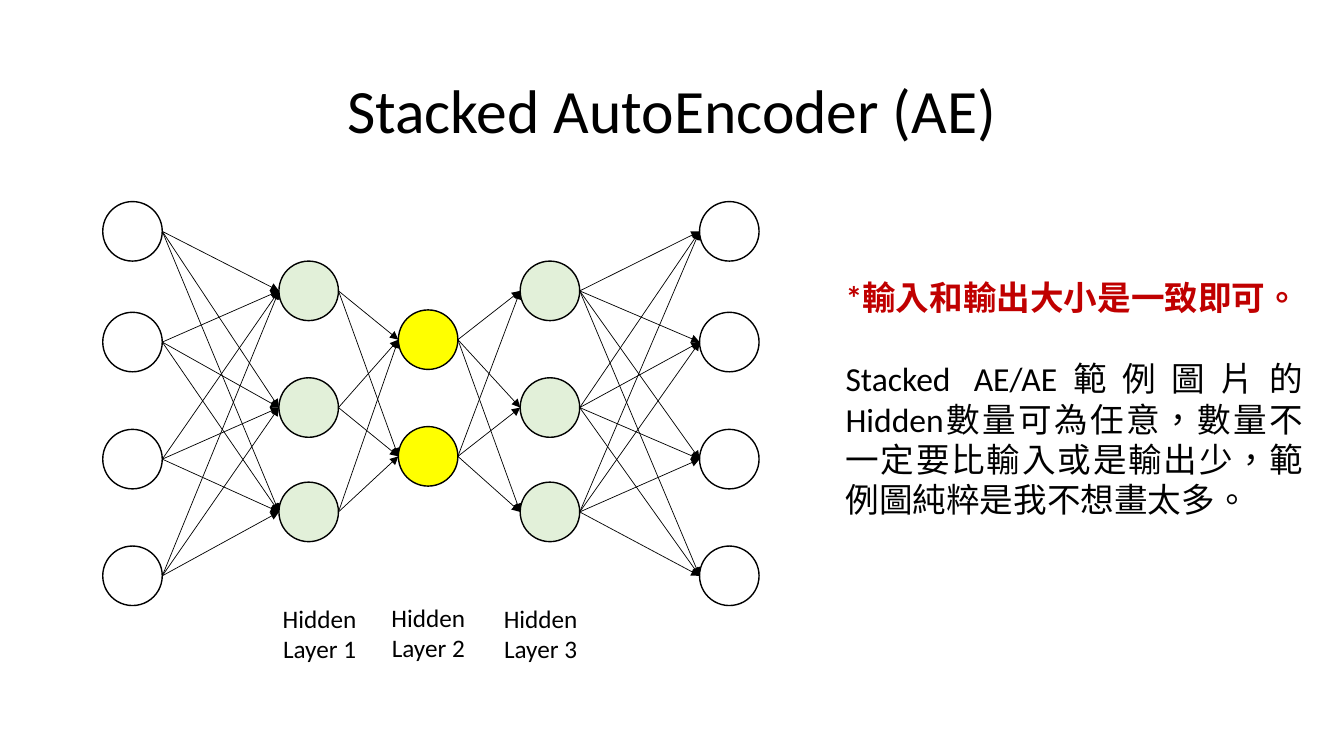
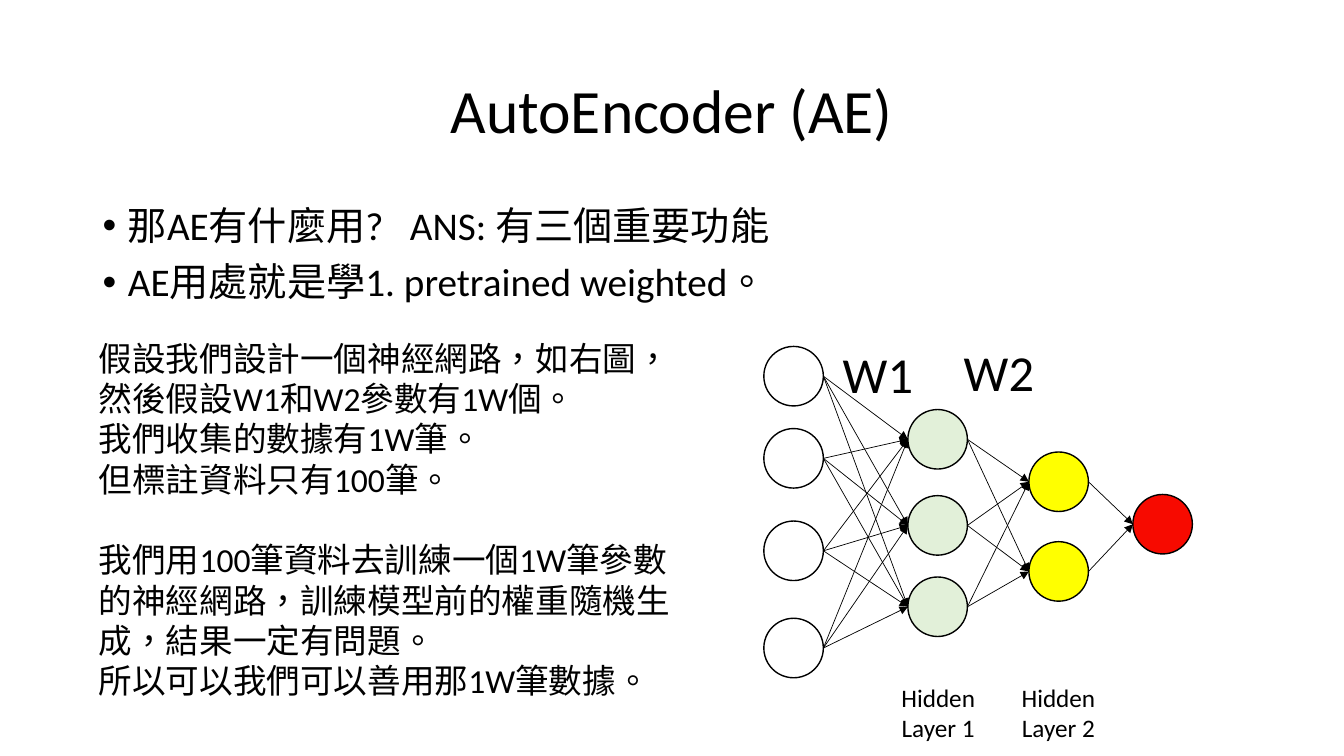
from itertools import product

from lxml import etree
from pptx import Presentation
from pptx.dml.color import RGBColor
from pptx.enum import shapes, text
from pptx.oxml import ns
from pptx.util import Cm, Pt

FONT = "Calibri"
BLACK, WHITE, GREEN, YELLOW = "000000", "FFFFFF", "E2F0D9", "FFFF00"
RED, DARK_RED = "F70A00", "C00000"
NODE = 1.5
LABEL = (3.51, 1.8)
WIDE_SPACE = 1260  # extra width of a tabbed gap, hundredths of a point
PARA_GAP = 29
CENTER, LEFT, JUSTIFY = (text.PP_ALIGN.CENTER, text.PP_ALIGN.LEFT,
                         text.PP_ALIGN.JUSTIFY)

# Placeholder places on the master: left, top, width, height
MASTER = {"title": (2.33, 1.01, 29.21, 3.68),
          "body": (2.33, 5.08, 29.21, 12.09)}

# Layers: left, tops, fill.  Labels: text, left, top, size.
# Notes: text, colour, bold, space before.
SLIDES = [
    {
        "title": "Stacked AutoEncoder (AE)",
        "bullets": [],
        "layers": [
            (2.59, (5.08, 7.87, 10.82, 13.76), WHITE),
            (7.03, (6.58, 9.52, 12.15), GREEN),
            (10.04, (7.81, 10.75), YELLOW),
            (13.11, (6.58, 9.52, 12.15), GREEN),
            (17.63, (5.08, 7.87, 10.82, 13.76), WHITE),
        ],
        "labels": [
            ("Hidden Layer 1", 6.3, 15.07, 18),
            ("Hidden Layer 2", 9.04, 15.05, 18),
            ("Hidden Layer 3", 11.87, 15.07, 18),
        ],
        "notes_at": (21.06, 6.86, 12.04, 6.4),
        "notes_align": JUSTIFY,
        "notes": [
            ("*輸入和輸出大小是一致即可。", DARK_RED, True, 0),
            ("Stacked AE/AE範例圖片的Hidden數量可為任意，數量不一定要比輸入或是輸出少，"
             "範例圖純粹是我不想畫太多。", BLACK, False, PARA_GAP),
        ],
    },
    {
        "title": "AutoEncoder (AE)",
        "bullets": ["那AE有什麼用?\tANS: 有三個重要功能",
                    "AE用處就是學1. pretrained weighted。"],
        "layers": [
            (19.25, (8.73, 10.8, 13.13, 15.58), WHITE),
            (22.88, (10.32, 12.49, 14.54), GREEN),
            (25.93, (11.39, 13.65), YELLOW),
            (28.55, (12.46,), RED),
        ],
        "labels": [
            ("Hidden Layer 1", 21.89, 17.07, 18),
            ("Hidden Layer 2", 24.92, 17.07, 18),
            ("W1", 20.37, 8.51, 36),
            ("W2", 23.42, 8.46, 36),
        ],
        "notes_at": (2.24, 8.38, 15.62, 9.5),
        "notes_align": LEFT,
        "notes": [
            ("假設我們設計一個神經網路，如右圖，然後假設W1和W2參數有1W個。", BLACK, False, 0),
            ("我們收集的數據有1W筆。", BLACK, False, 0),
            ("但標註資料只有100筆。", BLACK, False, 0),
            ("我們用100筆資料去訓練一個1W筆參數的神經網路，訓練模型前的權重隨機生成，"
             "結果一定有問題。", BLACK, False, PARA_GAP),
            ("所以可以我們可以善用那1W筆數據。", BLACK, False, 0),
        ],
    },
]


def rgb(value):
    return RGBColor.from_string(value)


def cm(values):
    return [Cm(v) for v in values]


def format_paragraph(p, size, align, color=BLACK, bold=False):
    p.alignment = align
    for r in p.runs:
        r.font.name, r.font.size, r.font.bold = FONT, Pt(size), bold
        r.font.color.rgb = rgb(color)
        if not r.text.isascii():
            r._r.get_or_add_rPr().set("lang", "zh-TW")


def add_text(parent, at):
    tf = parent.add_textbox(*cm(at)).text_frame
    tf.word_wrap = True
    tf.auto_size = text.MSO_AUTO_SIZE.SHAPE_TO_FIT_TEXT
    return tf


def next_paragraph(tf, index):
    return tf.add_paragraph() if index else tf.paragraphs[0]


def add_node(parent, left, top, fill):
    sp = parent.add_shape(shapes.MSO_SHAPE.OVAL, *cm((left, top, NODE, NODE)))
    sp.shadow.inherit = False
    sp.fill.solid()
    sp.fill.fore_color.rgb = rgb(fill)
    sp.line.color.rgb = rgb(BLACK)
    sp.line.width = Pt(1)


def add_arrow(parent, start, end):
    line = parent.add_connector(shapes.MSO_CONNECTOR.STRAIGHT,
                                *cm(start + end))
    line.line.color.rgb = rgb(BLACK)
    line.line.width = Pt(0.5)
    etree.SubElement(line.line._get_or_add_ln(), ns.qn("a:tailEnd"),
                     type="triangle")
    etree.SubElement(line._element.spPr, ns.qn("a:effectLst"))


def add_network(parent, layers, labels):
    for left, tops, fill in layers:
        for top in tops:
            add_node(parent, left, top, fill)
    # Every node feeds every node of the next layer
    for (x1, tops1, _), (x2, tops2, _) in zip(layers, layers[1:]):
        for y1, y2 in product(tops1, tops2):
            add_arrow(parent, (x1 + NODE, y1 + NODE / 2),
                      (x2, y2 + NODE / 2))
    for label, left, top, size in labels:
        p = add_text(parent, (left, top, *LABEL)).paragraphs[0]
        p.text = label
        format_paragraph(p, size, CENTER)


def fill_bullets(tf, bullets):
    tf.auto_size = text.MSO_AUTO_SIZE.NONE
    for i, bullet in enumerate(bullets):
        p = next_paragraph(tf, i)
        for j, part in enumerate(bullet.split("\t")):
            if j:
                gap = p.add_run()
                gap.text = " "
                gap._r.get_or_add_rPr().set("spc", str(WIDE_SPACE))
            p.add_run().text = part
        format_paragraph(p, 28, LEFT)
        p.line_spacing, p.space_before = 0.9, Pt(10)
        indent = Cm(0.64)
        pPr = p._p.get_or_add_pPr()
        pPr.set("marL", str(indent))
        pPr.set("indent", str(-indent))


def add_slide(prs, content):
    bullets = content["bullets"]
    s = prs.slides.add_slide(prs.slide_layouts[1 if bullets else 5])
    # Title and list
    title = s.shapes.title.text_frame
    title.text = content["title"]
    format_paragraph(title.paragraphs[0], 44, CENTER)
    title.paragraphs[0].line_spacing = 0.9
    if bullets:
        fill_bullets(s.placeholders[1].text_frame, bullets)
    # Network diagram
    group = s.shapes.add_group_shape()
    add_network(group.shapes, content["layers"], content["labels"])
    # Notes beside the diagram
    tf = add_text(s.shapes, content["notes_at"])
    for i, (note, color, bold, before) in enumerate(content["notes"]):
        p = next_paragraph(tf, i)
        p.text = note
        format_paragraph(p, 24, content["notes_align"], color, bold)
        p.space_before = Pt(before)


def main():
    prs = Presentation()
    prs.slide_width, prs.slide_height = Cm(33.87), Cm(19.05)
    # Shared title and body places
    for ph, at in zip(prs.slide_master.placeholders, MASTER.values()):
        ph.left, ph.top, ph.width, ph.height = cm(at)
    for content in SLIDES:
        add_slide(prs, content)
    prs.save("out.pptx")


if __name__ == "__main__":
    main()
